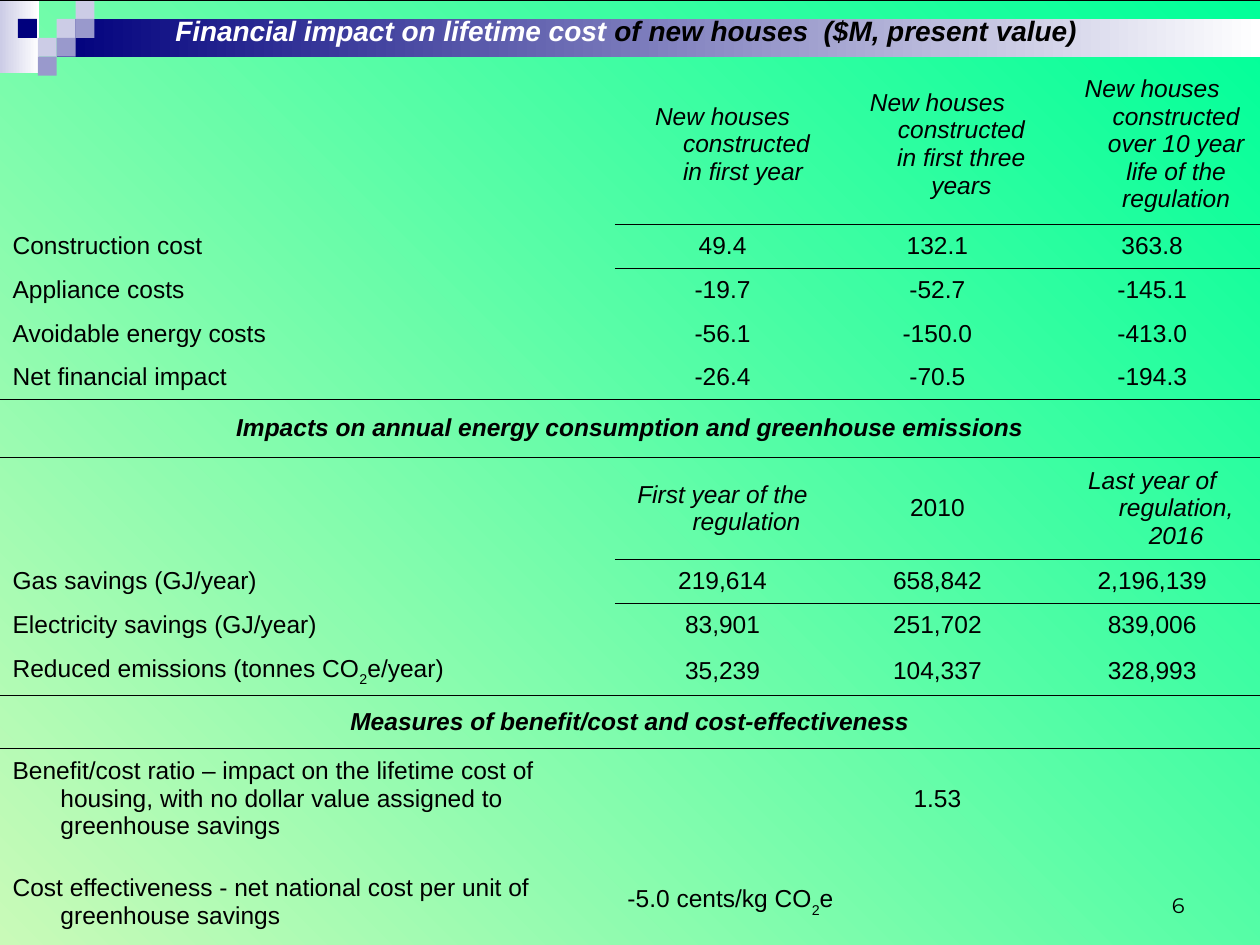
from lxml import etree
from pptx import Presentation
from pptx import util as u
from pptx.dml import color as dml
from pptx.enum import shapes, text
from pptx.oxml import ns

WIDTH, HEIGHT = 10, 7.5
SQUARE = 0.15
BLACK, WHITE, NAVY, LILAC, VIOLET = "000000", "FFFFFF", "00007D", "CCCCE6", "9999CC"
NO_TABLE_STYLE = "{2D5ABB26-0587-4C30-8999-92F81FD0307C}"
LEFT, CENTER = text.PP_ALIGN.LEFT, text.PP_ALIGN.CENTER

SQUARES = [
    (3, 1, LILAC), (4, 0, LILAC), (4, 1, VIOLET), (2, 2, LILAC),
    (0.95, 1, NAVY), (3, 2, VIOLET), (2, 3, VIOLET),
]
COLUMNS = [4.88, 1.71, 1.7, 1.71]
ROW_HEIGHTS = [0.51, 1.27, 0.35, 0.35, 0.34, 0.35, 0.46, 0.81, 0.35, 0.35, 0.38, 0.42, 0.8, 0.84]
ROWS = [
    [["Financial impact on lifetime cost", " of new houses  ($M, present value)\u00a0"]],
    ["", "New houses constructed in first year ", "New houses constructed in first three years",
     "New houses constructed over 10 year life of the regulation"],
    ["Construction cost", "49.4", "132.1", "363.8"],
    ["Appliance costs", "-19.7", "-52.7", "-145.1"],
    ["Avoidable energy costs", "-56.1", "-150.0", "-413.0"],
    ["Net financial impact", "-26.4", "-70.5", "-194.3"],
    ["Impacts on annual energy consumption and greenhouse emissions"],
    ["", "First year of the regulation", "2010", "Last year of regulation, 2016"],
    ["Gas savings (GJ/year)", "219,614", "658,842", "2,196,139"],
    ["Electricity savings (GJ/year)", "83,901", "251,702", "839,006"],
    [["Reduced emissions (tonnes CO", "2", "e/year)"], "35,239", "104,337", "328,993"],
    ["Measures of benefit/cost and cost-effectiveness"],
    ["Benefit/cost ratio – impact on the lifetime cost of housing, "
     "with no dollar value assigned to greenhouse savings", "1.53"],
    ["Cost effectiveness - net national cost per unit of greenhouse savings",
     ["-5.0 cents/kg CO", "2", "e"]],
]
HEADER_ROWS = (1, 7)
FULL_RULES = (5, 10, 13)


def rgb(value):
    """Turn a hex string into a colour."""
    return dml.RGBColor.from_string(value)


def paint_gradient(fill, start, end, angle):
    """Give a fill a two-colour linear gradient."""
    fill.gradient()
    fill.gradient_angle = angle
    for stop, value in zip(fill.gradient_stops, (start, end)):
        stop.color.rgb = rgb(value)


def add_rectangle(slide, left, top, width, height):
    """Add a rectangle without outline or shadow and return it."""
    shape = slide.shapes.add_shape(
        shapes.MSO_SHAPE.RECTANGLE, *map(u.Inches, (left, top, width, height)))
    shape.shadow.inherit = False
    shape.line.fill.background()
    return shape


def add_banner(slide):
    """Add the gradient bars and the stepped squares at the top left."""
    corner = add_rectangle(slide, 0, 0, 0.31, 0.58)
    paint_gradient(corner.fill, WHITE, LILAC, 180)
    start = 3 * SQUARE
    bar = add_rectangle(slide, start, SQUARE, WIDTH - start, 2 * SQUARE)
    paint_gradient(bar.fill, WHITE, NAVY, 180)
    for column, row, value in SQUARES:
        square = add_rectangle(slide, column * SQUARE, row * SQUARE, SQUARE, SQUARE)
        square.fill.solid()
        square.fill.fore_color.rgb = rgb(value)


def add_run(paragraph, words, size, name="Arial", color=BLACK, bold=False, italic=False):
    """Append one formatted run and return it."""
    run = paragraph.add_run()
    run.text = words
    font = run.font
    font.size, font.name, font.bold, font.italic = u.Pt(size), name, bold, italic
    font.color.rgb = rgb(color)
    return run


def add_border(cell, side, points):
    """Draw a black rule on one side of a cell."""
    line = etree.SubElement(cell._tc.get_or_add_tcPr(), ns.qn(f"a:{side}"), w=str(u.Pt(points)))
    fill = etree.SubElement(line, ns.qn("a:solidFill"))
    etree.SubElement(fill, ns.qn("a:srgbClr"), val=BLACK)


def rule_width(row, column):
    """Return the width of the rule below a cell, or None."""
    if row in FULL_RULES or row == -1:
        return 0.96
    return 0.45 if row in HEADER_ROWS and column > 0 else None


def add_borders(cell, row, column):
    """Draw the rules above and below a cell."""
    for side, above in (("lnT", row - 1), ("lnB", row)):
        points = rule_width(above, column)
        if points:
            add_border(cell, side, points)


def fill_cell(cell, content, row, column):
    """Write the runs of a cell with a hanging indent."""
    heading = len(ROWS[row]) == 1
    italic = heading or (row in HEADER_ROWS and content != "2010")
    paragraph = cell.text_frame.paragraphs[0]
    paragraph.alignment = CENTER if heading or (column and isinstance(content, str)) else LEFT
    properties = paragraph._p.get_or_add_pPr()
    properties.set("marL", str(u.Inches(0.38)))
    properties.set("indent", str(-u.Inches(0.38)))
    parts = [content] if isinstance(content, str) else content
    for index, words in enumerate(parts):
        color = WHITE if row == 0 and index == 0 else BLACK
        run = add_run(paragraph, words, 14 if row else 16, color=color, bold=heading, italic=italic)
        if len(parts) == 3 and index == 1:
            run.font._element.set("baseline", "-30000")


def add_impact_table(slide):
    """Add the table of costs, savings and benefit measures."""
    frame = slide.shapes.add_table(
        len(ROWS), len(COLUMNS), 0, 0, u.Inches(WIDTH), u.Inches(sum(ROW_HEIGHTS)))
    table = frame.table
    table.first_row = table.horz_banding = False
    table._tbl.tblPr.find(ns.qn("a:tableStyleId")).text = NO_TABLE_STYLE
    for column, width in zip(table.columns, COLUMNS):
        column.width = u.Inches(width)
    for row, height in zip(table.rows, ROW_HEIGHTS):
        row.height = u.Inches(height)
    for row, contents in enumerate(ROWS):
        for column in range(len(COLUMNS)):
            cell = table.cell(row, column)
            add_borders(cell, row, column)
            cell.fill.background()
            cell.vertical_anchor = text.MSO_ANCHOR.MIDDLE
            if column < len(contents) and contents[column]:
                fill_cell(cell, contents[column], row, column)
        if len(contents) < len(COLUMNS):
            table.cell(row, len(contents) - 1).merge(table.cell(row, len(COLUMNS) - 1))


def add_page_number(slide):
    """Add the page number at the lower right."""
    box = slide.shapes.add_textbox(*map(u.Inches, (7.17, 6.83, 2.33, 0.5)))
    frame = box.text_frame
    frame.word_wrap = True
    frame.vertical_anchor = text.MSO_ANCHOR.BOTTOM
    paragraph = frame.paragraphs[0]
    paragraph.alignment = text.PP_ALIGN.RIGHT
    add_run(paragraph, "6", 12, name="Montserrat")


def main():
    """Build the slide and save it."""
    presentation = Presentation()
    presentation.slide_width, presentation.slide_height = u.Inches(WIDTH), u.Inches(HEIGHT)
    slide = presentation.slides.add_slide(presentation.slide_layouts[6])
    paint_gradient(slide.background.fill, "00FF99", "C9FAB8", 225)
    add_banner(slide)
    add_impact_table(slide)
    add_page_number(slide)
    presentation.save("out.pptx")


if __name__ == "__main__":
    main()
